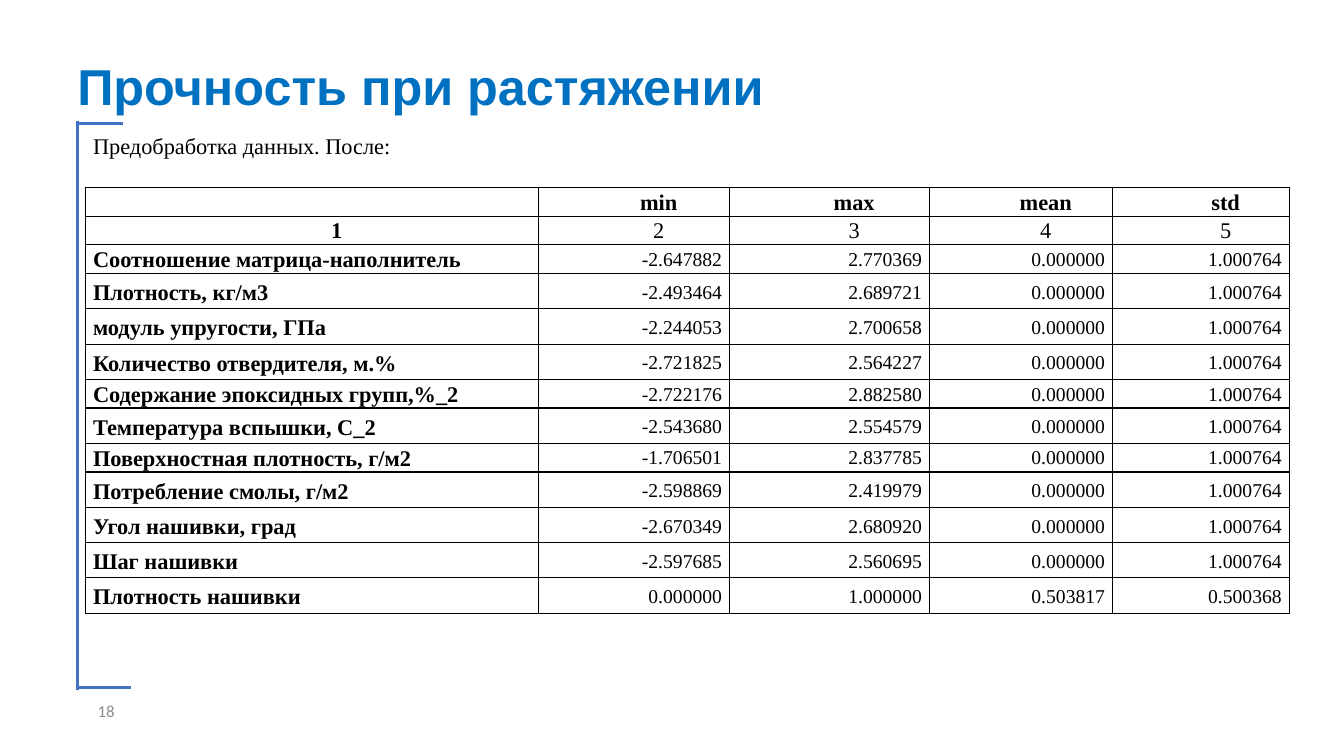
from dataclasses import dataclass

from lxml.etree import SubElement
from pptx import Presentation
from pptx.dml.color import RGBColor
from pptx.enum.shapes import MSO_CONNECTOR
from pptx.enum.text import MSO_ANCHOR, PP_ALIGN
from pptx.oxml.ns import qn
from pptx.util import Pt


@dataclass(frozen=True)
class Theme:
    """Colours, fonts and type sizes of the slide."""
    title: str = "0070C0"
    frame: str = "4472C4"
    ink: str = "000000"
    muted: str = "8C8C8C"
    paper: str = "FFFFFF"
    title_font: str = "Arial"
    body_font: str = "Times New Roman"
    number_font: str = "Calibri"
    title_size: int = 36
    body_size: int = 16
    value_size: int = 14
    number_size: int = 12


THEME = Theme()
FRAME_LINES = [
    (55.4, 86.4, 55.4, 493.2),
    (55.4, 88.2, 87.8, 88.2),
    (55.4, 491, 93.6, 491),
]
COLUMN_WIDTHS = [323.3, 136.6, 142.8, 130.8, 126.2]
TALL_ROW, SHORT_ROW = 25.2, 20.5
TALL_SPACING, SHORT_SPACING = 1.15, 1.06
SHORT_ROWS = {0, 1, 2, 6, 8}
HEADER_ROWS = 2
FIRST_LINE_INDENT = 35.4
STATISTICS = [
    ["", "min", "max", "mean", "std"],
    ["1", "2", "3", "4", "5"],
    ["Соотношение матрица-наполнитель", "-2.647882", "2.770369", "0.000000", "1.000764"],
    ["Плотность, кг/м3", "-2.493464", "2.689721", "0.000000", "1.000764"],
    ["модуль упругости, ГПа", "-2.244053", "2.700658", "0.000000", "1.000764"],
    ["Количество отвердителя, м.%", "-2.721825", "2.564227", "0.000000", "1.000764"],
    ["Содержание эпоксидных групп,%_2", "-2.722176", "2.882580", "0.000000", "1.000764"],
    ["Температура вспышки, С_2", "-2.543680", "2.554579", "0.000000", "1.000764"],
    ["Поверхностная плотность, г/м2", "-1.706501", "2.837785", "0.000000", "1.000764"],
    ["Потребление смолы, г/м2", "-2.598869", "2.419979", "0.000000", "1.000764"],
    ["Угол нашивки, град", "-2.670349", "2.680920", "0.000000", "1.000764"],
    ["Шаг нашивки", "-2.597685", "2.560695", "0.000000", "1.000764"],
    ["Плотность нашивки", "0.000000", "1.000000", "0.503817", "0.500368"],
]


def add_run(p, text, font, size, color, bold=False):
    """Add one styled run to a paragraph."""
    r = p.add_run()
    r.text = text
    r.font.name = font
    r.font.size = Pt(size)
    r.font.bold = bold
    r.font.color.rgb = RGBColor.from_string(color)


def add_text(s, box, inset, anchor=MSO_ANCHOR.TOP):
    """Add a wrapping text box and return its first paragraph."""
    tf = s.shapes.add_textbox(*map(Pt, box)).text_frame
    tf.word_wrap = True
    tf.vertical_anchor = anchor
    tf.margin_left = tf.margin_right = Pt(inset)
    tf.margin_top = tf.margin_bottom = Pt(inset / 2)
    return tf.paragraphs[0]


def add_frame(s):
    """Draw the grouped bracket along the left side."""
    group = s.shapes.add_group_shape()
    for ends in FRAME_LINES:
        line = group.shapes.add_connector(MSO_CONNECTOR.STRAIGHT, *map(Pt, ends))
        line.line.color.rgb = RGBColor.from_string(THEME.frame)
        line.line.width = Pt(2.25)
        SubElement(line._element.spPr, qn("a:effectLst"))


def style_cell(cell, inset):
    """Set the margins, fill and borders of a table cell."""
    cell.vertical_anchor = MSO_ANCHOR.MIDDLE
    cell.margin_left = cell.margin_right = Pt(inset)
    cell.margin_top = cell.margin_bottom = 0
    tc_pr = cell._tc.get_or_add_tcPr()
    for side in ("lnL", "lnR", "lnT", "lnB"):
        ln = SubElement(tc_pr, qn(f"a:{side}"), w=str(Pt(1)))
        SubElement(SubElement(ln, qn("a:solidFill")), qn("a:srgbClr"), val=THEME.ink)
    cell.fill.solid()
    cell.fill.fore_color.rgb = RGBColor.from_string(THEME.paper)


def fill_cell(cell, text, row, col):
    """Write one statistic, label or heading into its cell."""
    header = row < HEADER_ROWS
    style_cell(cell, 3.6 if header else 5.3)
    p = cell.text_frame.paragraphs[0]
    p.line_spacing = SHORT_SPACING if row in SHORT_ROWS else TALL_SPACING
    if not text:
        SubElement(p._p, qn("a:endParaRPr"), sz=str(THEME.body_size * 100))
        return
    if header or col:
        p.alignment = PP_ALIGN.CENTER if header else PP_ALIGN.RIGHT
        p_pr = p._p.get_or_add_pPr()
        p_pr.set("marL", "0")
        p_pr.set("indent", str(Pt(FIRST_LINE_INDENT)))
    size = THEME.body_size if header or col == 0 else THEME.value_size
    add_run(p, text, THEME.body_font, size, THEME.ink, bold=row == 0 or col == 0)


def add_statistics(s):
    """Add the table of descriptive statistics."""
    heights = [SHORT_ROW if i in SHORT_ROWS else TALL_ROW for i in range(len(STATISTICS))]
    box = (61.2, 133.9, sum(COLUMN_WIDTHS), sum(heights))
    table = s.shapes.add_table(len(heights), len(COLUMN_WIDTHS), *map(Pt, box)).table
    table.first_row = table.horz_banding = False
    for column, width in zip(table.columns, COLUMN_WIDTHS):
        column.width = Pt(width)
    for i, values in enumerate(STATISTICS):
        table.rows[i].height = Pt(heights[i])
        for j, text in enumerate(values):
            fill_cell(table.cell(i, j), text, i, j)


def main():
    """Build and save the slide."""
    prs = Presentation()
    prs.slide_width, prs.slide_height = Pt(960), Pt(540)
    s = prs.slides.add_slide(prs.slide_layouts[6])

    p = add_text(s, (41.4, 493.2, 47.5, 28.8), 7.2, MSO_ANCHOR.MIDDLE)
    p.alignment = PP_ALIGN.RIGHT
    add_run(p, "18", THEME.number_font, THEME.number_size, THEME.muted)

    p = add_text(s, (49.2, 37.4, 621.4, 49), 6, MSO_ANCHOR.BOTTOM)
    p.line_spacing = 0.9
    add_run(p, "Прочность при растяжении", THEME.title_font, THEME.title_size, THEME.title, bold=True)

    p = add_text(s, (60.5, 93.6, 609.1, 291.6), 6)
    p.line_spacing = 0.9
    p.space_before = Pt(8.4)
    add_run(p, "Предобработка данных. После:", THEME.body_font, THEME.body_size, THEME.ink)

    add_frame(s)
    add_statistics(s)
    prs.save("out.pptx")


if __name__ == "__main__":
    main()
